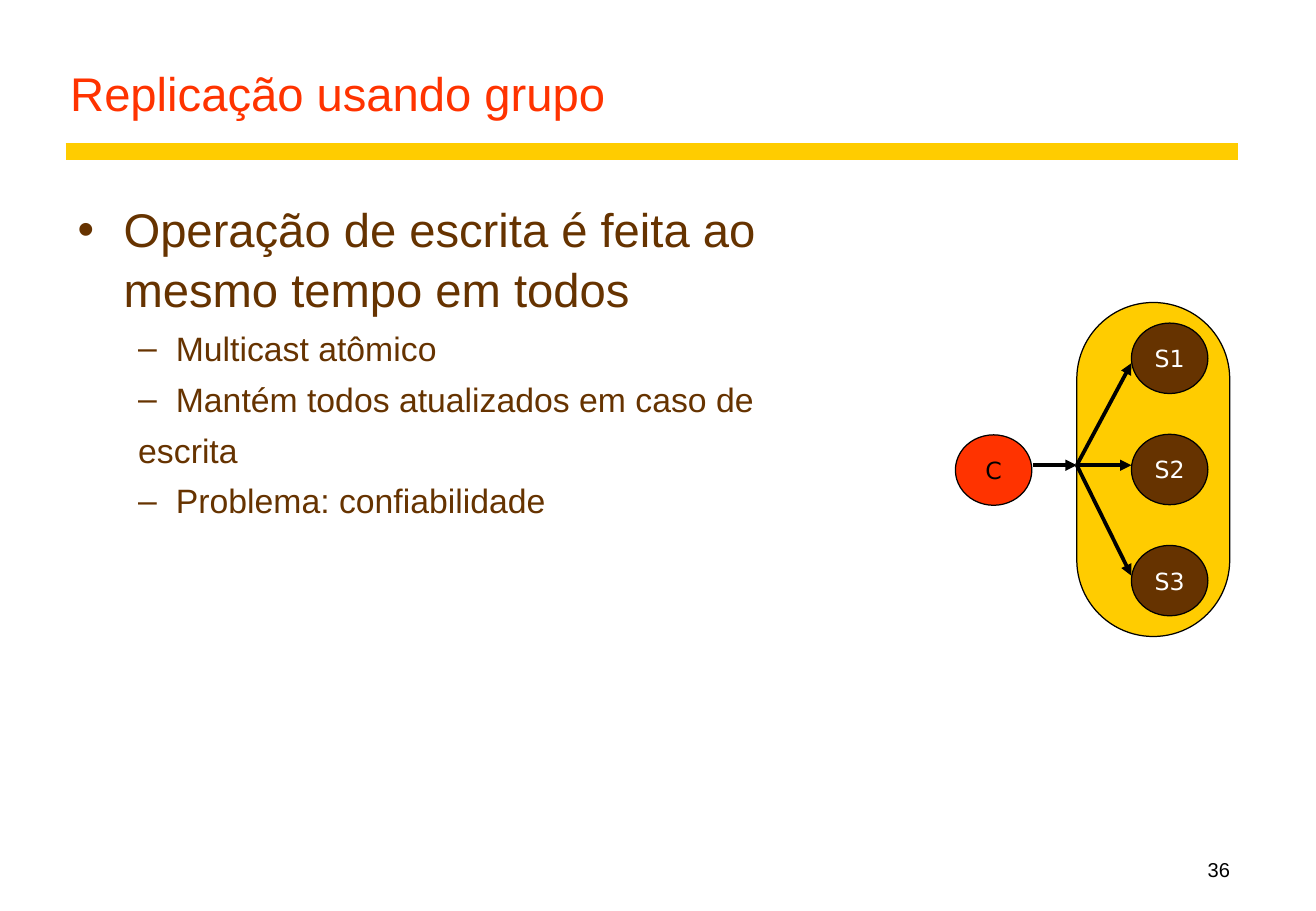
from dataclasses import dataclass

from lxml.etree import SubElement as Sub
from pptx import Presentation
from pptx.dml.color import RGBColor
from pptx.enum.shapes import MSO_CONNECTOR as Link, MSO_SHAPE as Kind
from pptx.enum.text import MSO_ANCHOR as Anchor, PP_ALIGN as Align
from pptx.oxml.ns import qn
from pptx.util import Inches, Pt

BLACK, WHITE, BROWN = "000000", "FFFFFF", "663300"
RED, GOLD = "FF3300", "FFCC00"


@dataclass
class Node:
    name: str
    left: float
    top: float
    fill: str
    ink: str


@dataclass
class Arrow:
    x: float
    y: float
    to_x: float
    to_y: float


@dataclass
class Item:
    text: str
    mark: str = "–"
    level: int = 1
    size: int = 20
    left: float = 0.81
    hang: float = 0.31
    gap: int = 5


def tint(code: str) -> RGBColor:
    return RGBColor.from_string(code)


def style(para, size: float, code: str, face: str = "Arial") -> None:
    font = para.font
    font.size, font.name = Pt(size), face
    font.color.rgb = tint(code)


def add_box(slide, left: float, top: float, width: float, height: float, anchor):
    box = slide.shapes.add_textbox(*map(Inches, (left, top, width, height)))
    frame = box.text_frame
    frame.word_wrap = True
    frame.vertical_anchor = anchor
    return frame


def add_label(frame, text: str, size: float, code: str, align) -> None:
    para = frame.paragraphs[0]
    para.text, para.alignment, para.line_spacing = text, align, 0.9
    style(para, size, code)


def add_item(para, item: Item) -> None:
    para.text, para.level = item.text, item.level
    props = para._p.get_or_add_pPr()
    props.set("marL", str(Inches(item.left)))
    props.set("indent", str(-Inches(item.hang)))
    if item.mark:
        Sub(Sub(props, qn("a:buClr")), qn("a:srgbClr"), val=BROWN)
        Sub(props, qn("a:buFont"), typeface="Arial")
        Sub(props, qn("a:buChar"), char=item.mark)
    else:
        Sub(props, qn("a:buNone"))
    para.line_spacing = 1.05
    para.space_before = Pt(item.gap)
    style(para, item.size, BROWN)


def add_shape(slide, kind, left: float, top: float, width: float, height: float, fill: str):
    shape = slide.shapes.add_shape(kind, *map(Inches, (left, top, width, height)))
    shape.shadow.inherit = False
    shape.fill.solid()
    shape.fill.fore_color.rgb = tint(fill)
    shape.line.color.rgb = tint(BLACK)
    shape.line.width = Pt(0.75)
    return shape


def add_node(slide, node: Node) -> None:
    frame = add_shape(slide, Kind.OVAL, node.left, node.top, 0.63, 0.58, node.fill).text_frame
    frame.word_wrap = False
    frame.vertical_anchor = Anchor.MIDDLE
    para = frame.paragraphs[0]
    para.text, para.alignment = node.name, Align.CENTER
    style(para, 14, node.ink, "DejaVu Sans")


def add_line(slide, way: Arrow, code: str, width: float):
    ends = map(Inches, (way.x, way.y, way.to_x, way.to_y))
    line = slide.shapes.add_connector(Link.STRAIGHT, *ends)
    line.line.color.rgb = tint(code)
    line.line.width = Pt(width)
    Sub(line._element.spPr, qn("a:effectLst"))
    return line


def add_arrow(slide, way: Arrow) -> None:
    line = add_line(slide, way, BLACK, 2.25)
    Sub(line.line._get_or_add_ln(), qn("a:tailEnd"), type="triangle")


def main() -> None:
    deck = Presentation()
    deck.slide_width, deck.slide_height = Inches(10.84), Inches(7.5)
    slide = deck.slides.add_slide(deck.slide_layouts[6])

    add_line(slide, Arrow(0.54, 1.25, 10.2, 1.25), GOLD, 10)
    title = add_box(slide, 0.48, 0.25, 9.72, 0.8, Anchor.BOTTOM)
    add_label(title, "Replicação usando grupo", 28, RED, Align.LEFT)
    page = add_box(slide, 9.03, 7, 1.2, 0.31, Anchor.BOTTOM)
    add_label(page, "36", 11.9, BLACK, Align.RIGHT)

    items = [
        Item("Operação de escrita é feita ao\vmesmo tempo em todos", "•", 0, 28, 0.38, 0.38, 0),
        Item("Multicast atômico"),
        Item("Mantém todos atualizados em caso de"),
        Item("escrita", mark=""),
        Item("Problema: confiabilidade"),
    ]
    body = add_box(slide, 0.54, 1.58, 9.69, 5.25, Anchor.TOP)
    for i, item in enumerate(items):
        add_item(body.add_paragraph() if i else body.paragraphs[0], item)

    group = add_shape(slide, Kind.ROUNDED_RECTANGLE, 8.87, 2.49, 1.26, 2.75, GOLD)
    group.adjustments[0] = 0.5
    add_node(slide, Node("C", 7.87, 3.58, RED, BLACK))
    for i in range(3):
        add_node(slide, Node(f"S{i + 1}", 9.32, 2.66 + i * 1.83 / 2, BROWN, WHITE))

    hub_x, hub_y = 8.87, 3.83
    for end in (2.99, hub_y, 4.74):
        add_arrow(slide, Arrow(hub_x, hub_y, 9.32, end))
    add_arrow(slide, Arrow(8.51, hub_y, hub_x, hub_y))

    deck.save("out.pptx")


if __name__ == "__main__":
    main()
